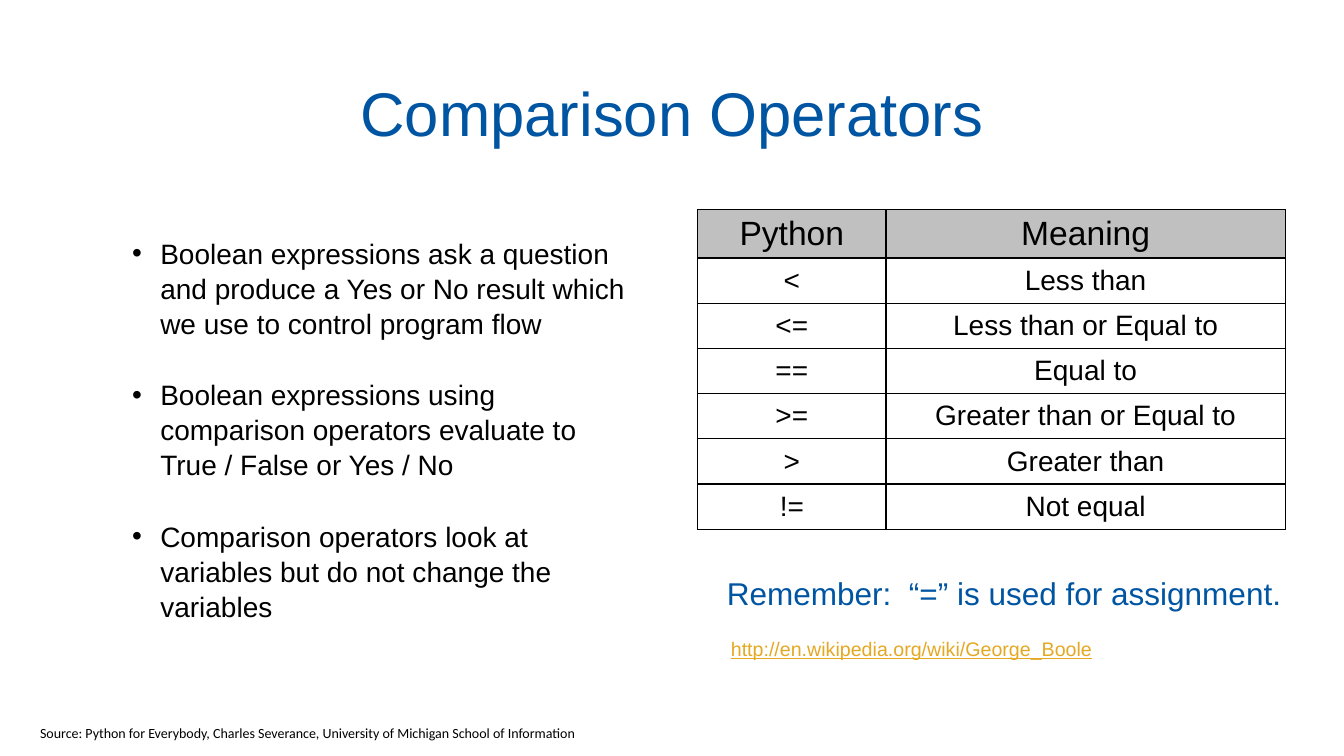
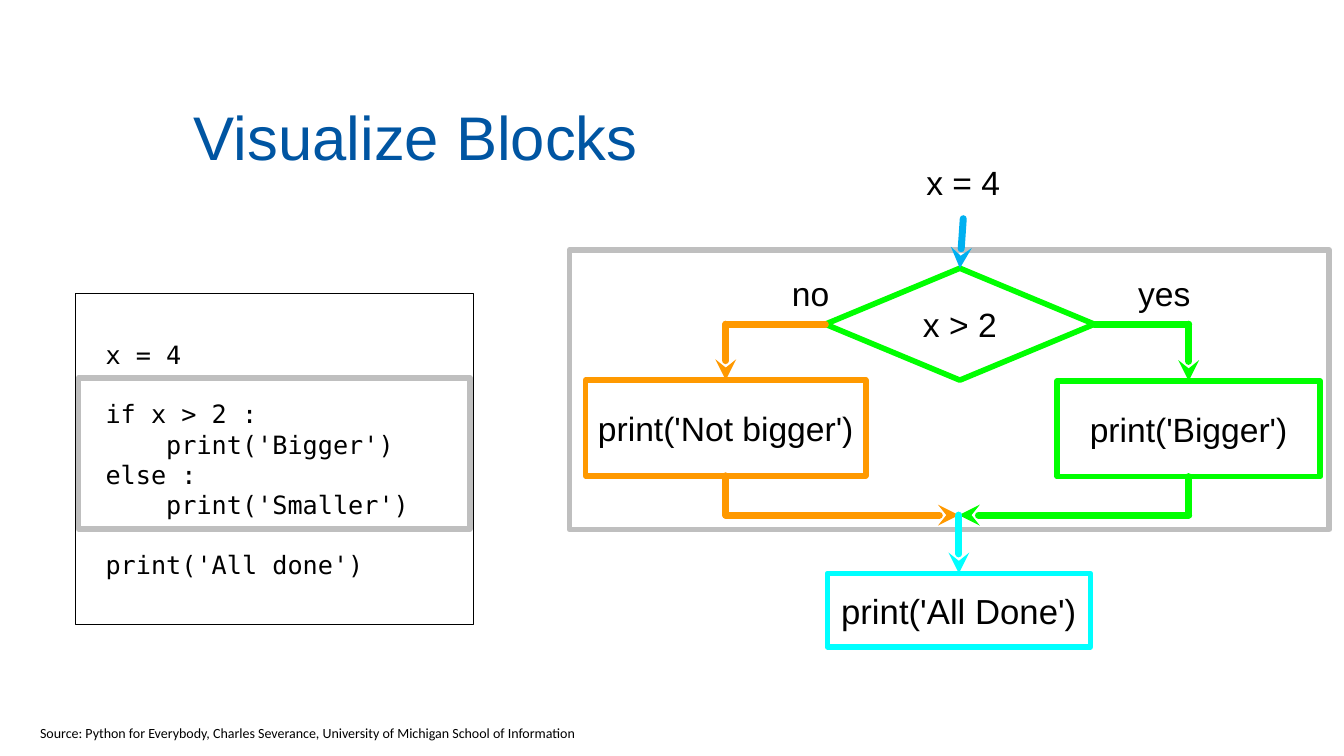
"""Build two slides on comparison operators and code blocks."""
from lxml.etree import SubElement
from pptx import Presentation
from pptx.dml.color import RGBColor
from pptx.enum.shapes import MSO_CONNECTOR, MSO_SHAPE
from pptx.enum.text import MSO_ANCHOR, MSO_AUTO_SIZE, PP_ALIGN
from pptx.oxml.ns import qn
from pptx.util import Cm, Pt

BLACK, WHITE, GREY, HEADER = "000000", "FFFFFF", "BFBFBF", "C0C0C0"
BLUE, GOLD, SKY, CYAN = "0055A2", "E5A823", "00B0F0", "00FFFF"
GREEN, ORANGE = "00FF00", "FF9900"
CENTER, LEFT = PP_ALIGN.CENTER, PP_ALIGN.LEFT
TOP_SIDE, LEFT_SIDE, BOTTOM_SIDE, RIGHT_SIDE = range(4)
INSET = 0.08

TITLE = {"size": 44, "color": BLUE, "inset": INSET}
SOURCE = ("Source: Python for Everybody, Charles Severance, "
          "University of Michigan School of Information")

BULLETS = [
    "Boolean expressions ask a question and produce a Yes or No result "
    "which we use to control program flow",
    "Boolean expressions using comparison operators evaluate to "
    "True / False or Yes / No",
    "Comparison operators look at variables but do not change the variables",
]
OPERATORS = [
    ("Python", "Meaning"),
    ("<", "Less than"),
    ("<=", "Less than or Equal to"),
    ("==", "Equal to"),
    (">=", "Greater than or Equal to"),
    (">", "Greater than"),
    ("!=", "Not equal"),
]
COL_WIDTHS = (4.75, 10.06)
HEAD_HEIGHT, ROW_HEIGHT = 1.22, 1.14

CODE_BLOCKS = [
    ["x = 4"],
    ["if x > 2 :", "    print('Bigger')", "else :", "    print('Smaller')"],
    ["print('All done')"],
]
FRAMES = [
    ((1.98, 9.52, 9.86, 3.81), GREY, 4),
    ((1.9, 7.39, 10.03, 8.36), BLACK, 0.75),
    ((14.35, 6.3, 19.15, 7.04), GREY, 4),
]
NODES = {
    "start": ("x = 4", (20.96, 3.66, 6.63, 1.85), WHITE, 24),
    "test": ("x > 2", (20.8, 6.76, 6.78, 2.82), GREEN, 24),
    "bigger": ("print('Bigger')", (26.64, 9.6, 6.63, 2.41), GREEN, 24),
    "smaller": ("print('Not bigger')", (14.76, 9.58, 7.06, 2.41), ORANGE, 24),
    "done": ("print('All Done')", (20.85, 14.45, 6.63, 1.85), CYAN, 24.8),
}
BRANCH_LABELS = [("yes", (28.5, 6.86, 1.68, 1.07)),
                 ("no", (19.91, 6.86, 1.04, 1.07))]
MERGE_Y = 12.98
BRANCHES = [("bigger", GREEN, RIGHT_SIDE), ("smaller", ORANGE, LEFT_SIDE)]


def rgb(color):
    """Turn a hex string into a colour."""
    return RGBColor.from_string(color)


def put(obj, values):
    """Set every attribute in a dict of format values."""
    for name, value in values.items():
        setattr(obj, name, value)


def frame(tf, inset=0, anchor=MSO_ANCHOR.MIDDLE):
    """Set wrapping, anchor and equal margins of a text frame."""
    put(tf, {"word_wrap": True, "vertical_anchor": anchor})
    put(tf, {f"margin_{side}": Cm(inset)
             for side in ("left", "top", "right", "bottom")})


def write(tf, lines, size, color=BLACK, font="Arial", align=CENTER,
          underline=None):
    """Write one paragraph per line and return the paragraphs."""
    for i, line in enumerate(lines):
        p = tf.add_paragraph() if i else tf.paragraphs[0]
        p.alignment = align
        r = p.add_run()
        r.text = line
        put(r.font, {"size": Pt(size), "name": font, "underline": underline})
        r.font.color.rgb = rgb(color)
    return tf.paragraphs


def label(s, lines, box, inset=0, **fmt):
    """Add a text box and return its paragraphs."""
    tf = s.shapes.add_textbox(*map(Cm, box)).text_frame
    frame(tf, inset)
    return write(tf, lines, **fmt)


def outline(s, box, color, width, kind=MSO_SHAPE.RECTANGLE):
    """Add an unfilled shape with a coloured outline."""
    sp = s.shapes.add_shape(kind, *map(Cm, box))
    sp.shadow.inherit = False
    sp.fill.background()
    sp.line.color.rgb = rgb(color)
    sp.line.width = Pt(width)
    frame(sp.text_frame)
    return sp


def indent(p, left, first=0):
    """Set the left margin and first-line indent of a paragraph."""
    pPr = p._p.get_or_add_pPr()
    pPr.set("marL", str(Cm(left)))
    pPr.set("indent", str(Cm(first)))
    return pPr


def bullet(p):
    """Give a paragraph a black round bullet."""
    pPr = indent(p, 1.55, -0.71)
    clr = SubElement(pPr, qn("a:buClr"))
    SubElement(clr, qn("a:srgbClr"), val=BLACK)
    SubElement(pPr, qn("a:buFont"), typeface="Arial")
    SubElement(pPr, qn("a:buChar"), char="•")


def border(cell):
    """Draw a thin black line on all sides of a cell."""
    tcPr = cell._tc.get_or_add_tcPr()
    for side in "LRTB":
        ln = SubElement(tcPr, qn(f"a:ln{side}"), w=str(Pt(1)))
        fill = SubElement(ln, qn("a:solidFill"))
        SubElement(fill, qn("a:srgbClr"), val=BLACK)


def side_point(sp, side):
    """Return the middle of one side of a shape."""
    x = (1, 0, 1, 2)[side]
    y = (0, 1, 2, 1)[side]
    return sp.left + sp.width * x // 2, sp.top + sp.height * y // 2


def connect(s, start, end, color, arrow=False):
    """Join two ends, each a point or a (shape, side) pair."""
    ends = [e if isinstance(e[0], int) else side_point(*e)
            for e in (start, end)]
    cx = s.shapes.add_connector(MSO_CONNECTOR.STRAIGHT, *ends[0], *ends[1])
    for e, join in ((start, cx.begin_connect), (end, cx.end_connect)):
        if not isinstance(e[0], int):
            join(*e)
    cx.line.color.rgb = rgb(color)
    cx.line.width = Pt(5)
    ln = cx.line._get_or_add_ln()
    ln.set("cap", "rnd")
    if arrow:
        SubElement(ln, qn("a:tailEnd"), type="stealth")
    SubElement(cx._element.spPr, qn("a:effectLst"))


def new_slide(prs, title, box):
    """Add a blank slide with the shared title and source line."""
    s = prs.slides.add_slide(prs.slide_layouts[6])
    label(s, [title], box, **TITLE)
    tf = s.shapes.add_textbox(*map(Cm, (0.76, 18.14, 14.22, 0.69))).text_frame
    put(tf, {"word_wrap": False, "auto_size": MSO_AUTO_SIZE.SHAPE_TO_FIT_TEXT})
    write(tf, [SOURCE], 10, font="Calibri", align=LEFT)
    return s


def operators_slide(prs):
    """Build the slide with the operator table."""
    s = new_slide(prs, "Comparison Operators", (1.7, 1.4, 30.48, 2.84))
    ps = label(s, BULLETS, (2.41, 5.44, 13.44, 10.74), INSET,
               size=20, align=LEFT)
    for i, p in enumerate(ps):
        p.line_spacing = 1.04
        if i:
            p.space_before = Pt(26.2)
        bullet(p)
    label(s, ["http://en.wikipedia.org/wiki/George_Boole"],
          (18.42, 15.85, 12.73, 0.99),
          size=14, color=GOLD, align=LEFT, underline=True)
    label(s, ["Remember:  “=” is used for assignment."],
          (18.24, 14.4, 14.15, 1.07), size=22.5, color=BLUE)

    heights = [HEAD_HEIGHT] + [ROW_HEIGHT] * (len(OPERATORS) - 1)
    size = sum(COL_WIDTHS), sum(heights)
    table = s.shapes.add_table(len(OPERATORS), len(COL_WIDTHS),
                               *map(Cm, (17.58, 5.28, *size))).table
    put(table, {"first_row": False, "horz_banding": False})
    for col, width in zip(table.columns, COL_WIDTHS):
        col.width = Cm(width)
    for i, (row, height) in enumerate(zip(table.rows, heights)):
        row.height = Cm(height)
        for cell, text in zip(row.cells, OPERATORS[i]):
            put(cell, {f"margin_{side}": Cm(INSET)
                       for side in ("left", "top", "right", "bottom")})
            cell.vertical_anchor = MSO_ANCHOR.MIDDLE
            border(cell)
            if i:
                cell.fill.background()
            else:
                cell.fill.solid()
                cell.fill.fore_color.rgb = rgb(HEADER)
            write(cell.text_frame, [text], 20 if i else 24)


def blocks_slide(prs):
    """Build the slide with the code and its flow chart."""
    s = new_slide(prs, "Visualize Blocks", (2.41, 1.55, 16.15, 3.73))
    _, code, _ = [outline(s, *args) for args in FRAMES]
    lines = [line for block in CODE_BLOCKS for line in block]
    ps = write(code.text_frame, lines, 18, font="DejaVu Sans Mono", align=LEFT)
    for p in ps:
        indent(p, 0.76)
    first = 0
    for block in CODE_BLOCKS[:-1]:
        first += len(block)
        ps[first].space_before = Pt(21)

    nodes = {}
    for name, (text, box, color, size) in NODES.items():
        kind = MSO_SHAPE.DIAMOND if name == "test" else MSO_SHAPE.RECTANGLE
        nodes[name] = outline(s, box, color, 4, kind)
        write(nodes[name].text_frame, [text], size)
    for text, box in BRANCH_LABELS:
        label(s, [text], box, size=24)

    test, done = nodes["test"], nodes["done"]
    merge = side_point(done, TOP_SIDE)[0], Cm(MERGE_Y)
    connect(s, (nodes["start"], BOTTOM_SIDE), (test, TOP_SIDE), SKY, True)
    for name, color, side in BRANCHES:
        node = nodes[name]
        x, y = side_point(node, TOP_SIDE)[0], side_point(test, side)[1]
        connect(s, (test, side), (x, y), color)
        connect(s, (x, y), (node, TOP_SIDE), color, True)
        connect(s, (node, BOTTOM_SIDE), (x, merge[1]), color)
        connect(s, (x, merge[1]), merge, color, True)
    connect(s, merge, (done, TOP_SIDE), CYAN, True)


def main():
    """Build and save the presentation."""
    prs = Presentation()
    put(prs, {"slide_width": Cm(33.87), "slide_height": Cm(19.05)})
    operators_slide(prs)
    blocks_slide(prs)
    prs.save("out.pptx")


if __name__ == "__main__":
    main()
